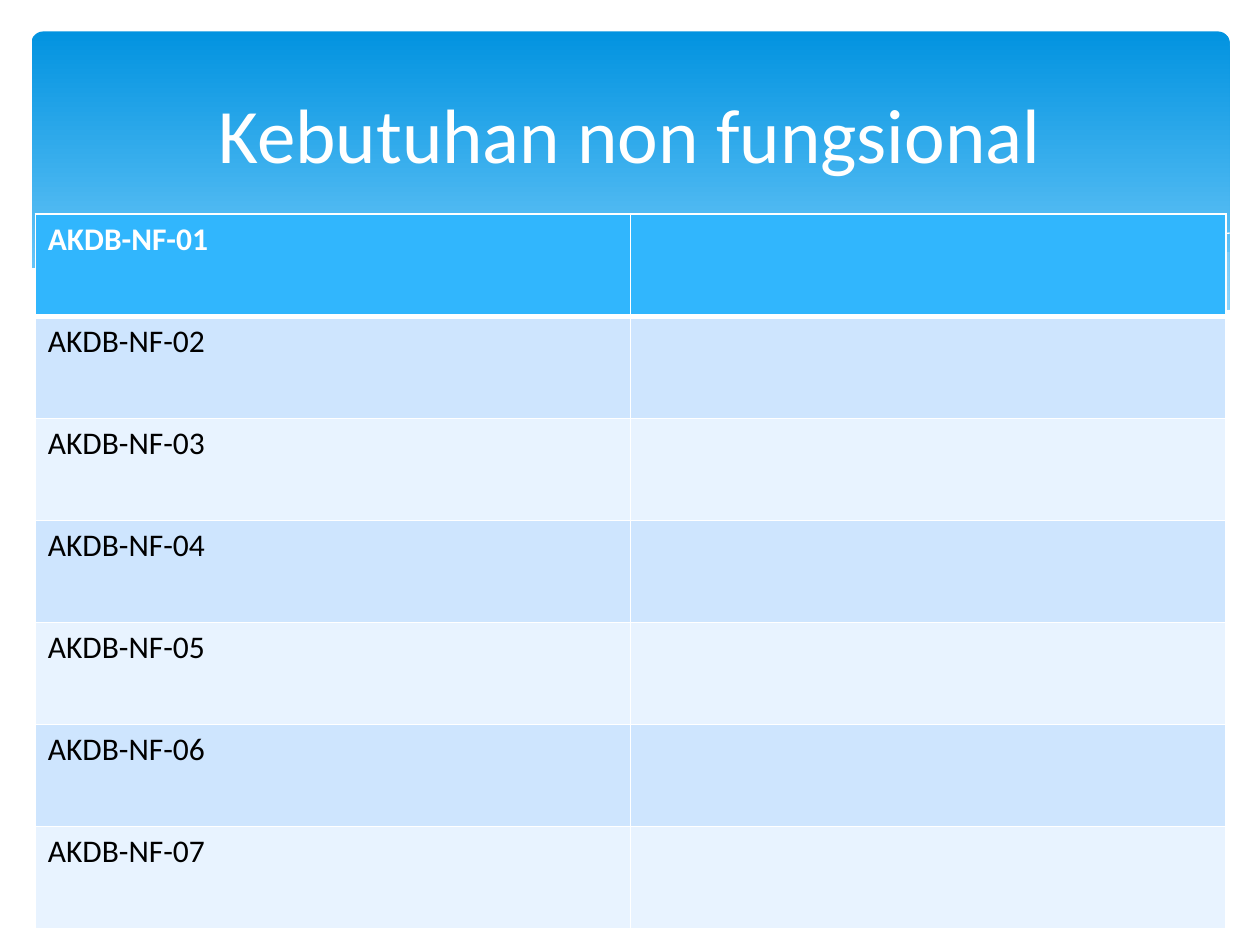
from dataclasses import dataclass
from itertools import pairwise
from math import cos, pi

from lxml import etree
from pptx import Presentation
from pptx import util as u
from pptx.dml.color import RGBColor
from pptx.enum import shapes, text
from pptx.oxml import ns


@dataclass(frozen=True)
class Theme:
    """Colours, font and type sizes."""
    font: str = "Calibri"
    white: str = "FFFFFF"
    black: str = "000000"
    deep: str = "0293E0"
    sky: str = "83D3FE"
    mist: str = "C6E7FC"
    head: str = "31B6FD"
    bands: tuple = ("CEE5FE", "E8F3FF")
    title: int = 44
    body: int = 18


def swell(knots, steps=12):
    """Join crests and troughs with half cosine waves."""
    dots = [knots[0]]
    for (x, y), (to_x, to_y) in pairwise(knots):
        for step in range(1, steps + 1):
            share = step / steps
            ease = (1 - cos(pi * share)) / 2
            dots.append((x + (to_x - x) * share, y + (to_y - y) * ease))
    return dots


class Deck:
    """Holds the style and the slide; the grid is 10 columns by 7.5 rows."""
    COLS, ROWS = 10, 7.5

    def __init__(self, theme):
        """Start a deck with one blank slide."""
        self.look = theme
        self.prs = Presentation()
        self.prs.slide_width = u.Inches(10)
        self.prs.slide_height = u.Inches(7.5)
        self.slide = self.prs.slides.add_slide(self.prs.slide_layouts[6])

    def spot(self, col, row):
        """Turn a grid place into slide units."""
        return (round(self.prs.slide_width * col / self.COLS),
                round(self.prs.slide_height * row / self.ROWS))

    def paint(self, fill, tone):
        """Give a fill one plain colour."""
        fill.solid()
        fill.fore_color.rgb = RGBColor.from_string(tone)

    def run(self, para, words, size, tone, bold=False):
        """Add one styled run."""
        part = para.add_run()
        part.text = words
        part.font.name, part.font.size = self.look.font, u.Pt(size)
        part.font.bold = bold
        part.font.color.rgb = RGBColor.from_string(tone)

    def banner(self, col, row, wide, high):
        """Draw the rounded gradient panel."""
        box = self.slide.shapes.add_shape(
            shapes.MSO_SHAPE.ROUNDED_RECTANGLE,
            *self.spot(col, row), *self.spot(wide, high))
        box.shadow.inherit = False
        box.adjustments[0] = 0.034
        box.line.fill.background()
        box.fill.gradient()
        box.fill.gradient_angle = 270
        tones = (self.look.deep, 0), (self.look.sky, 0.9)
        for stop, (tone, place) in zip(box.fill.gradient_stops, tones):
            stop.color.rgb = RGBColor.from_string(tone)
            stop.position = place

    def trace(self, dots, close):
        """Draw a bare outline through grid places."""
        first, *rest = [self.spot(*dot) for dot in dots]
        pen = self.slide.shapes.build_freeform(*first)
        pen.add_line_segments(rest, close=close)
        form = pen.convert_to_shape()
        form.shadow.inherit = False
        return form

    def wave(self, dots, tone, alpha=100):
        """Draw a filled wave; alpha is its opacity in percent."""
        form = self.trace(dots, True)
        form.line.fill.background()
        self.paint(form.fill, tone)
        if alpha < 100:
            color = form.fill._xPr.find(".//" + ns.qn("a:srgbClr"))
            etree.SubElement(color, ns.qn("a:alpha"), val=str(alpha * 1000))

    def thread(self, dots, tone):
        """Draw an open hairline."""
        form = self.trace(dots, False)
        form.fill.background()
        self.paint(form.line.fill, tone)
        form.line.width = 0

    def edge(self, cell, top, low):
        """Put white borders round a cell, with its own top and bottom."""
        props = cell._tc.get_or_add_tcPr()
        sides = {"L": 1, "R": 1, "T": top, "B": low}
        for place, (side, wide) in enumerate(sides.items()):
            line = etree.Element(ns.qn("a:ln" + side), w=str(u.Pt(wide)))
            fill = etree.SubElement(line, ns.qn("a:solidFill"))
            etree.SubElement(fill, ns.qn("a:srgbClr"), val=self.look.white)
            props.insert(place, line)

    def table(self, col, row, wide, high, names):
        """Draw a banded two-column table with names on the left."""
        look = self.look
        grid = self.slide.shapes.add_table(
            len(names), 2, *self.spot(col, row), *self.spot(wide, high)).table
        for i, name in enumerate(names):
            head = i == 0
            tone = look.head if head else look.bands[(i - 1) % 2]
            for cell in grid.rows[i].cells:
                self.paint(cell.fill, tone)
                self.edge(cell, 3 if i == 1 else 1, 3 if head else 1)
            self.run(grid.cell(i, 0).text_frame.paragraphs[0], name, look.body,
                     look.white if head else look.black, head)

    def title(self, col, row, wide, high, words):
        """Add the centred title."""
        frame = self.slide.shapes.add_textbox(
            *self.spot(col, row), *self.spot(wide, high)).text_frame
        frame.word_wrap = True
        frame.vertical_anchor = text.MSO_ANCHOR.MIDDLE
        para = frame.paragraphs[0]
        para.alignment = text.PP_ALIGN.CENTER
        self.run(para, words, self.look.title, self.look.white)


def main():
    """Build the slide from back to front."""
    look = Theme()
    deck = Deck(look)
    left, right, floor = 0.23, 9.77, 3.29
    rim = 9.76

    deck.banner(0.25, 0.25, 9.51, 2.7)
    mist = swell([(rim, 2), (6.61, 2.65), (8.05, 2.78), (rim, 2.47)])
    deck.wave(mist, look.mist, 29)
    deck.thread(swell([(6.13, 2.57), (rim, 1.85)]), look.white)
    crest = swell([(left, 2.13), (1.77, 1.84), (8.09, 2.77), (right, 2.46)])
    deck.wave(crest + [(right, floor), (left, floor)], look.white)

    names = [f"AKDB-NF-{n:02}" for n in range(1, 8)]
    deck.table(0.28, 1.7, 9.45, 5.67, names)
    deck.title(0.5, 0.37, 9, 1.37, "Kebutuhan non fungsional")
    deck.prs.save("out.pptx")


main()
